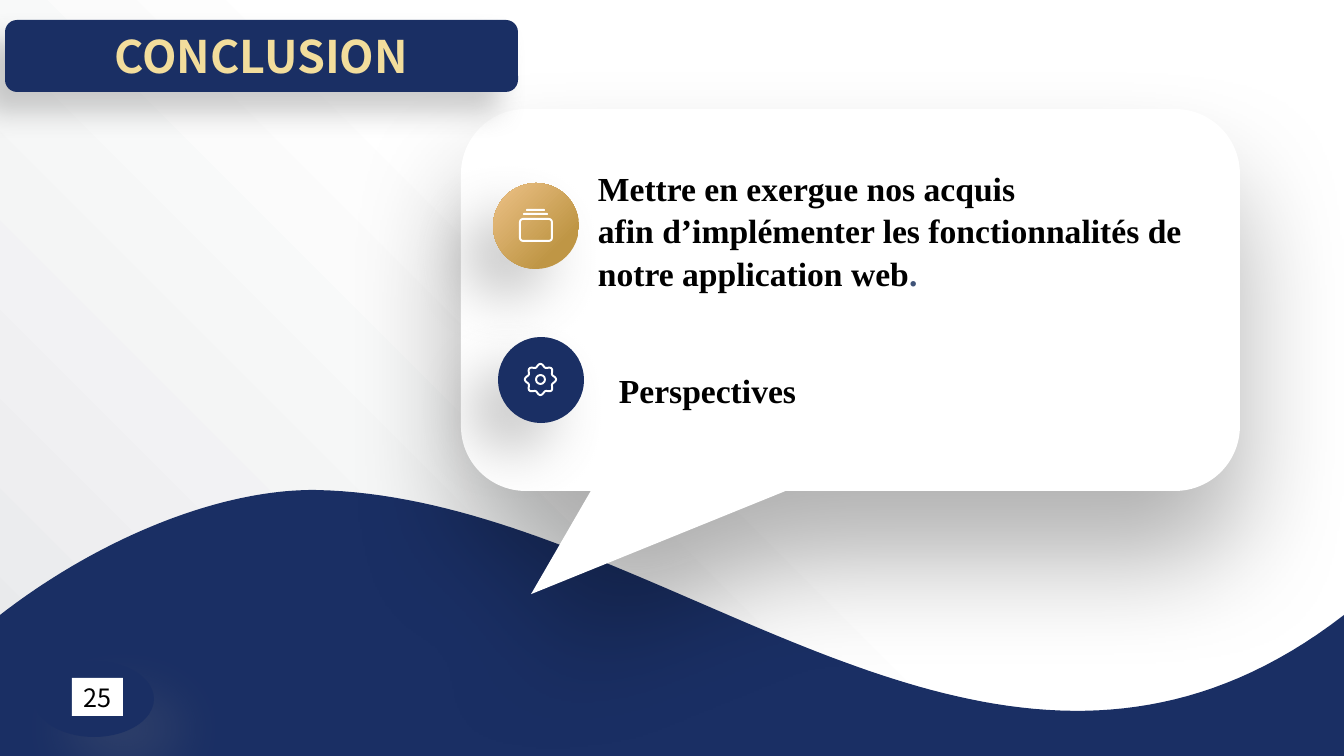
from math import cos, pi, sin

from lxml.etree import SubElement
from pptx import Presentation
from pptx.dml.color import RGBColor
from pptx.enum.shapes import MSO_SHAPE as Shape
from pptx.enum.text import MSO_ANCHOR as Anchor, PP_ALIGN as Align
from pptx.oxml.ns import qn
from pptx.util import Pt

PX = 914400 / 100.8
WIDTH, HEIGHT = 1344, 756
COLORS = {
    "navy": "1A2F64", "white": "FFFFFF", "black": "000000", "gray": "808080",
    "mist": "E7E8EA", "cream": "F2DD9C", "gold": "BF9645", "sand": "E5BA7C",
    "slate": "3F5378",
}
SANS, SERIF = "Noto Sans CJK SC", "Times New Roman"
TITLE = {"name": SANS, "size": Pt(32), "bold": True}
BODY = {"name": SERIF, "size": Pt(24), "bold": True}
NUMBER = {"name": SANS, "size": Pt(18), "bold": False}


def emu(px):
    return round(px * PX)


def color(name):
    return RGBColor.from_string(COLORS[name])


def bezier(p0, p1, p2, p3, steps=80):
    curve = []
    for step in range(steps + 1):
        t = step / steps
        weights = ((1 - t) ** 3, 3 * t * (1 - t) ** 2, 3 * t * t * (1 - t), t ** 3)
        curve.append(tuple(sum(w * p[axis] for w, p in zip(weights, (p0, p1, p2, p3)))
                           for axis in (0, 1)))
    return curve


class Painter:
    def __init__(self, page):
        self.page = page

    def style(self, shape, fill=None, line=None, shadow=None):
        shape.shadow.inherit = False
        if fill:
            shape.fill.solid()
            shape.fill.fore_color.rgb = color(fill)
        else:
            shape.fill.background()
        if line:
            shape.line.color.rgb = color(line)
            shape.line.width = Pt(1.4)
        else:
            shape.line.fill.background()
        if shadow:
            self.cast(shape, *shadow)
        return shape

    def cast(self, shape, name, alpha, blur, distance, angle):
        effects = shape.element.spPr.find(qn("a:effectLst"))
        outer = SubElement(effects, qn("a:outerShdw"), blurRad=str(Pt(blur)),
                           dist=str(Pt(distance)), dir=str(angle * 60000),
                           algn="ctr", rotWithShape="0")
        tint = SubElement(outer, qn("a:srgbClr"), val=COLORS[name])
        SubElement(tint, qn("a:alpha"), val=str(alpha * 1000))

    def shape(self, kind, box, adjust=(), **look):
        shape = self.page.shapes.add_shape(kind, *map(emu, box))
        for index, value in enumerate(adjust):
            shape.adjustments[index] = value
        return self.style(shape, **look)

    def gradient(self, shape, stops, angle):
        shape.fill.gradient()
        shape.fill.gradient_angle = angle
        for stop, (position, name) in zip(shape.fill.gradient_stops, stops):
            stop.position = position
            stop.color.rgb = color(name)

    def outline(self, points, **look):
        start, *rest = [(emu(x), emu(y)) for x, y in points]
        builder = self.page.shapes.build_freeform(*start, scale=1.0)
        builder.add_line_segments(rest, close=True)
        return self.style(builder.convert_to_shape(), **look)

    def label(self, shape, paras, font, align=Align.LEFT, anchor=Anchor.TOP, spacing=1.0):
        frame = shape.text_frame
        frame.word_wrap = True
        frame.vertical_anchor = anchor
        for index, spans in enumerate(paras):
            para = frame.add_paragraph() if index else frame.paragraphs[0]
            para.alignment = align
            para.line_spacing = spacing
            for text, name in spans:
                span = para.add_run()
                span.text = text
                span.font.color.rgb = color(name)
                for key, value in font.items():
                    setattr(span.font, key, value)

    def text(self, box, paras):
        self.label(self.page.shapes.add_textbox(*map(emu, box)), paras, BODY, spacing=1.05)


def draw_backdrop(painter):
    backdrop = painter.shape(Shape.RECTANGLE, (0, 0, WIDTH, HEIGHT), fill="white")
    painter.gradient(backdrop, ((0, "mist"), (0.51, "white")), 45)
    crest, left, right = (316, 490), (0, 615), (WIDTH, 615)
    wave = bezier(crest, (219, 489), (98, 539), left)
    wave += [(0, HEIGHT), (WIDTH, HEIGHT)]
    wave += bezier(right, (994, 886), (666, 497), crest)
    painter.outline(wave, fill="navy")


def draw_stack_icon(painter):
    painter.shape(Shape.ROUNDED_RECTANGLE, (520, 219, 32, 22), (0.14,), line="white")
    for box in ((523, 213, 25, 2), (526, 209, 19, 2)):
        painter.shape(Shape.ROUNDED_RECTANGLE, box, (0.5,), fill="white")


def draw_gear_icon(painter, x=540.5, y=379.5, lobes=8, steps=160):
    rim = []
    for step in range(steps):
        angle = 2 * pi * step / steps
        radius = 14.1 + 1.5 * cos(lobes * angle)
        rim.append((x + radius * cos(angle), y + radius * sin(angle)))
    painter.outline(rim, line="white")
    painter.shape(Shape.OVAL, (536, 375, 9, 9), line="white")


def main():
    deck = Presentation()
    deck.slide_width, deck.slide_height = emu(WIDTH), emu(HEIGHT)
    painter = Painter(deck.slides.add_slide(deck.slide_layouts[6]))
    badge_shadow = ("gray", 40, 40, 30, 135)

    draw_backdrop(painter)
    painter.shape(Shape.ROUNDED_RECTANGULAR_CALLOUT, (461, 109, 779, 382),
                  (-0.41, 0.77, 0.17), fill="white", shadow=("black", 31, 83, 49, 90))
    banner = painter.shape(Shape.ROUNDED_RECTANGLE, (5, 20, 513, 72), fill="navy",
                           shadow=("gray", 40, 20, 20, 135))
    painter.label(banner, [[("CONCLUSION", "cream")]], TITLE, Align.CENTER, Anchor.MIDDLE)

    painter.text((609, 363, 468, 50), [[("Perspectives", "black")]])
    painter.shape(Shape.OVAL, (498, 337, 86, 86), fill="navy", shadow=badge_shadow)
    draw_gear_icon(painter)

    painter.text((588, 161, 652, 173), [
        [("Mettre en exergue nos acquis", "black")],
        [("afin d’implémenter les fonctionnalités de notre application web", "black"),
         (".", "slate")],
    ])
    badge = painter.shape(Shape.OVAL, (493, 183, 86, 86), fill="gold", shadow=badge_shadow)
    painter.gradient(badge, ((0.24, "gold"), (0.87, "sand")), 135)
    draw_stack_icon(painter)

    painter.shape(Shape.OVAL, (34, 661, 120, 76), fill="navy",
                  shadow=("gray", 20, 40, 30, 45))
    number = painter.shape(Shape.RECTANGLE, (72, 678, 51, 38), fill="white")
    painter.label(number, [[("25", "black")]], NUMBER, Align.CENTER, Anchor.MIDDLE)

    deck.save("out.pptx")


if __name__ == "__main__":
    main()
